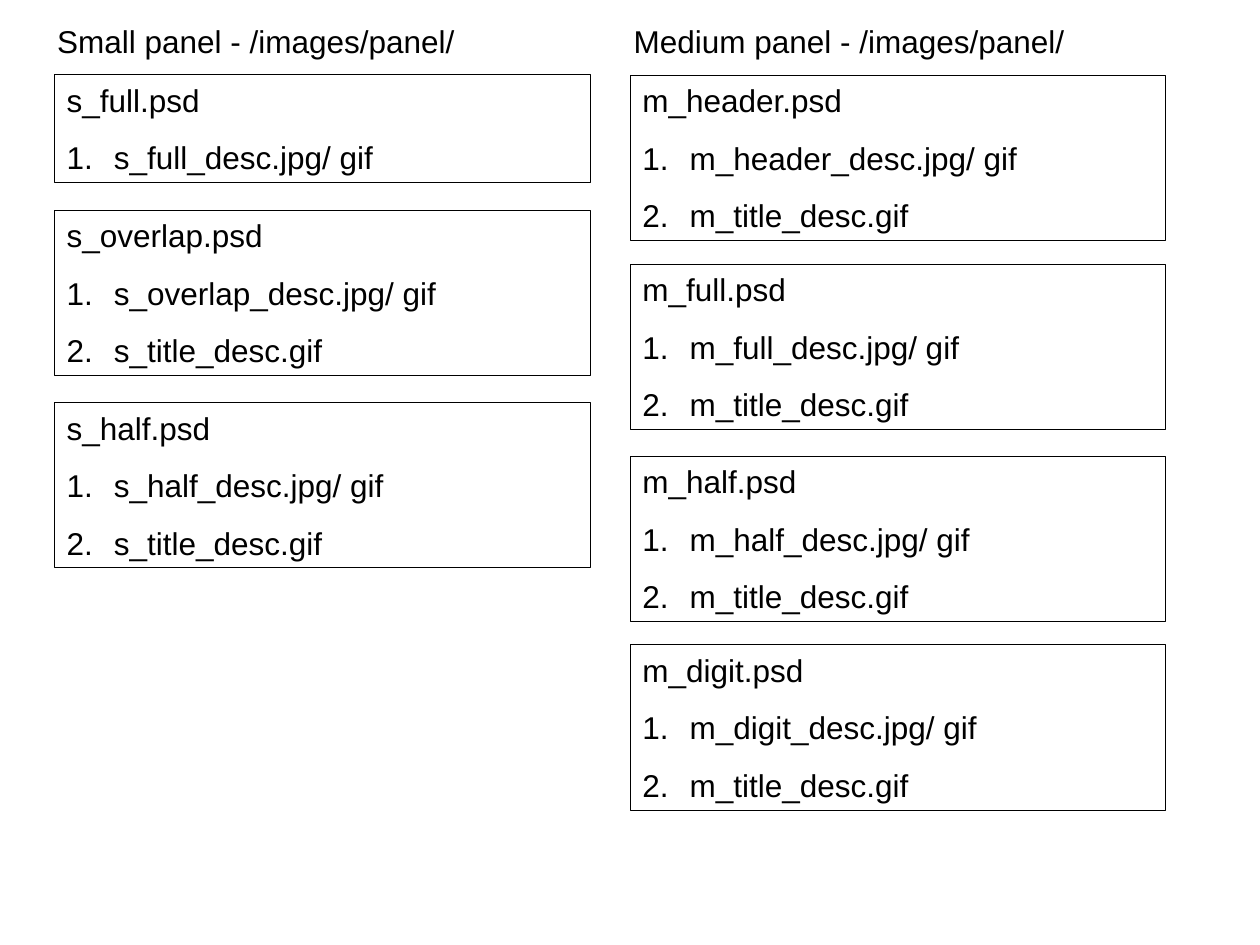
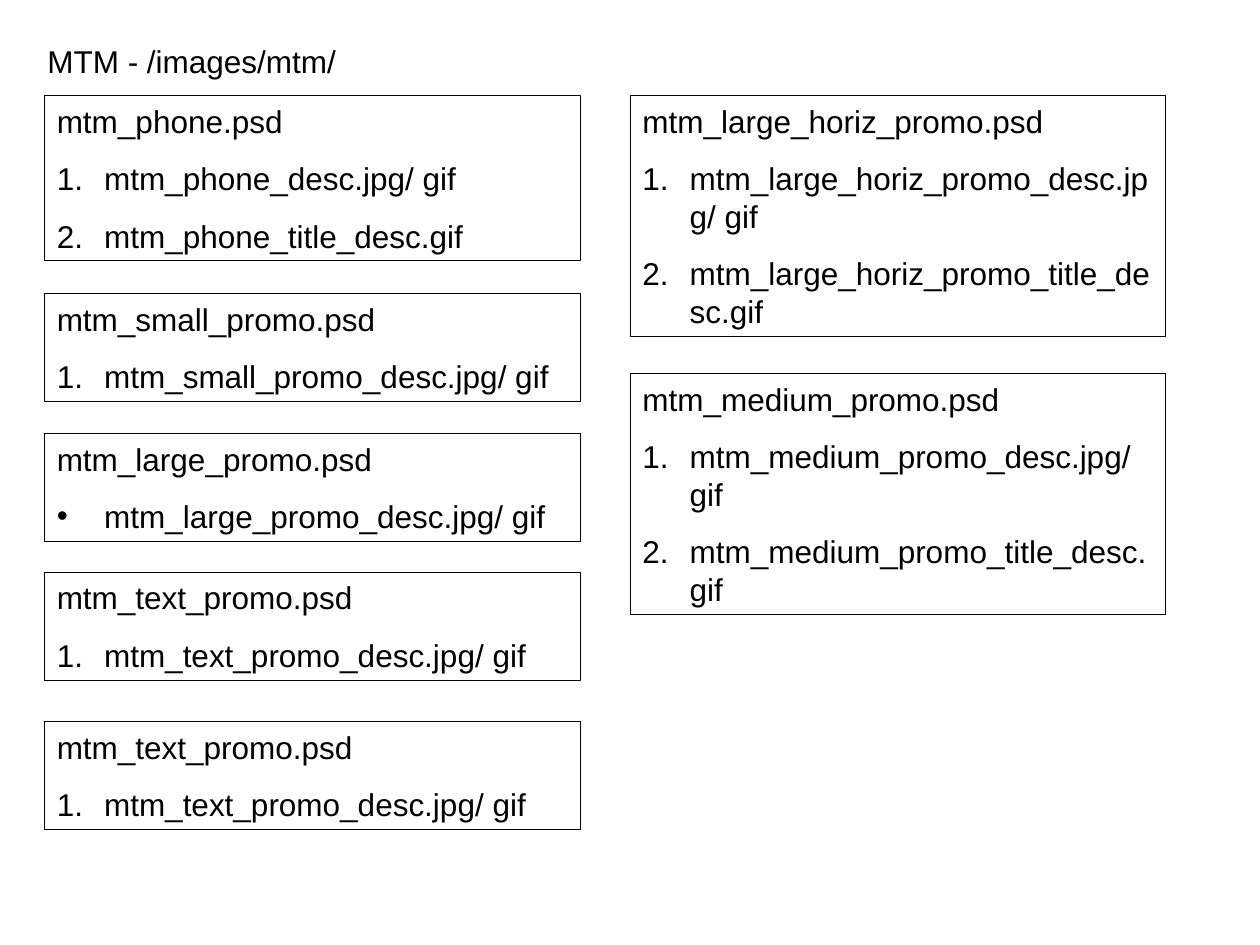
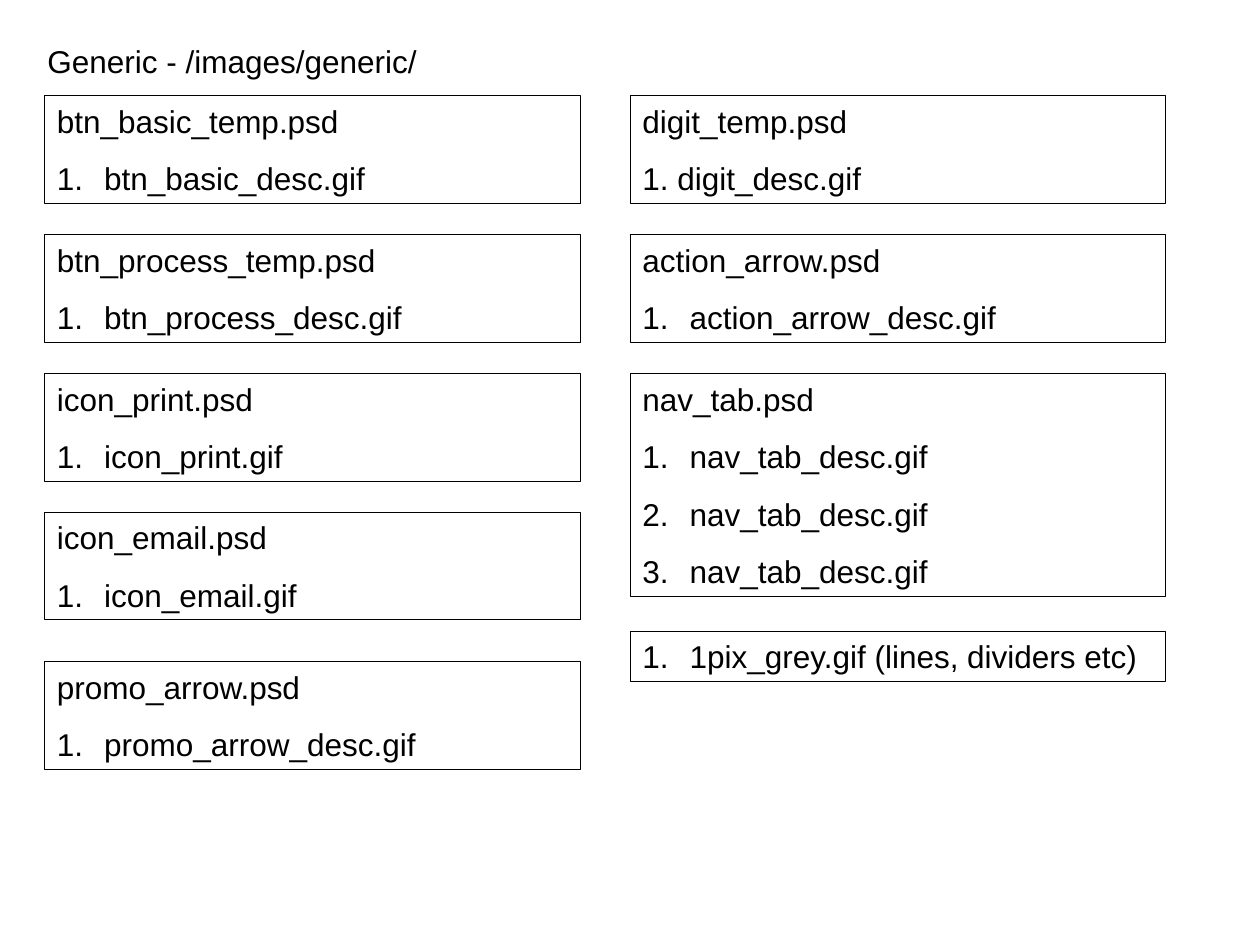
from lxml.etree import SubElement
from pptx import Presentation
from pptx.dml.color import RGBColor
from pptx.enum.shapes import MSO_SHAPE as Shape
from pptx.enum.text import MSO_ANCHOR as Anchor, MSO_AUTO_SIZE as AutoSize, PP_ALIGN as Align
from pptx.oxml.ns import qn
from pptx.util import Pt

# Marks in front of a file name
NUMBER, DOT, PLAIN = "number", "dot", "plain"

# Heading: text, left, top, width
# Panel: top, source file, its exported files, mark, extra wrapped lines
SLIDES = [
    {
        "headings": [
            ("Small panel - /images/panel/", 25.6, 9.2, 244),
            ("Medium panel - /images/panel/", 355, 9.2, 264),
        ],
        "columns": [
            (31, [
                (42.5, "s_full.psd", ["s_full_desc.jpg/ gif"], NUMBER, 0),
                (120.2, "s_overlap.psd", ["s_overlap_desc.jpg/ gif", "s_title_desc.gif"], NUMBER, 0),
                (230, "s_half.psd", ["s_half_desc.jpg/ gif", "s_title_desc.gif"], NUMBER, 0),
            ]),
            (360, [
                (43, "m_header.psd", ["m_header_desc.jpg/ gif", "m_title_desc.gif"], NUMBER, 0),
                (151, "m_full.psd", ["m_full_desc.jpg/ gif", "m_title_desc.gif"], NUMBER, 0),
                (260.6, "m_half.psd", ["m_half_desc.jpg/ gif", "m_title_desc.gif"], NUMBER, 0),
                (368.4, "m_digit.psd", ["m_digit_desc.jpg/ gif", "m_title_desc.gif"], NUMBER, 0),
            ]),
        ],
    },
    {
        "headings": [("MTM - /images/mtm/", 20, 20.4, 183)],
        "columns": [
            (25.4, [
                (54.6, "mtm_phone.psd", ["mtm_phone_desc.jpg/ gif", "mtm_phone_title_desc.gif"], NUMBER, 0),
                (167.6, "mtm_small_promo.psd", ["mtm_small_promo_desc.jpg/ gif"], NUMBER, 0),
                (247.6, "mtm_large_promo.psd", ["mtm_large_promo_desc.jpg/ gif"], DOT, 0),
                (327, "mtm_text_promo.psd", ["mtm_text_promo_desc.jpg/ gif"], NUMBER, 0),
                (412.4, "mtm_text_promo.psd", ["mtm_text_promo_desc.jpg/ gif"], NUMBER, 0),
            ]),
            (360, [
                (54.6, "mtm_large_horiz_promo.psd",
                 ["mtm_large_horiz_promo_desc.jpg/ gif", "mtm_large_horiz_promo_title_desc.gif"], NUMBER, 2),
                (213.4, "mtm_medium_promo.psd",
                 ["mtm_medium_promo_desc.jpg/ gif", "mtm_medium_promo_title_desc.gif"], NUMBER, 2),
            ]),
        ],
    },
    {
        "headings": [("Generic - /images/generic/", 20, 20.4, 229)],
        "columns": [
            (25.4, [
                (54.6, "btn_basic_temp.psd", ["btn_basic_desc.gif"], NUMBER, 0),
                (134, "btn_process_temp.psd", ["btn_process_desc.gif"], NUMBER, 0),
                (213.4, "icon_print.psd", ["icon_print.gif"], NUMBER, 0),
                (292.6, "icon_email.psd", ["icon_email.gif"], NUMBER, 0),
                (378, "promo_arrow.psd", ["promo_arrow_desc.gif"], NUMBER, 0),
            ]),
            (360, [
                (54.6, "digit_temp.psd", ["1. digit_desc.gif"], PLAIN, 0),
                (134, "action_arrow.psd", ["action_arrow_desc.gif"], NUMBER, 0),
                (213.4, "nav_tab.psd", ["nav_tab_desc.gif"] * 3, NUMBER, 0),
                (360.6, None, ["1pix_grey.gif (lines, dividers etc)"], NUMBER, 0),
            ]),
        ],
    },
]

# Shared style
INK = "000000"
FONT, FONT_SIZE = "Arial", 18
PANEL_WIDTH = 306.2
LINE_HEIGHT = 21.6
PARAGRAPH_GAP = 11.25
INSET_X, INSET_Y = 7.2, 3.6
HANGING = 27


def color(hex_code):
    return RGBColor.from_string(hex_code)


def text_height(lines, paragraphs=1):
    return 2 * INSET_Y + lines * LINE_HEIGHT + (paragraphs - 1) * PARAGRAPH_GAP


def prepare_frame(frame, wrap):
    frame.word_wrap = wrap
    frame.auto_size = AutoSize.SHAPE_TO_FIT_TEXT
    frame.vertical_anchor = Anchor.TOP
    frame.margin_left = frame.margin_right = Pt(INSET_X)
    frame.margin_top = frame.margin_bottom = Pt(INSET_Y)


def write(paragraph, text):
    paragraph.alignment = Align.LEFT
    run = paragraph.add_run()
    run.text = text
    run.font.name = FONT
    run.font.size = Pt(FONT_SIZE)
    run.font.color.rgb = color(INK)


def hang(paragraph, mark):
    properties = paragraph._p.get_or_add_pPr()
    properties.set("marL", str(Pt(HANGING)))
    properties.set("indent", str(-Pt(HANGING)))
    if mark == NUMBER:
        SubElement(properties, qn("a:buFont"), typeface=FONT)
        SubElement(properties, qn("a:buAutoNum"), type="arabicPeriod")
    elif mark == DOT:
        SubElement(properties, qn("a:buFont"), typeface=FONT)
        SubElement(properties, qn("a:buChar"), char="•")
    else:
        SubElement(properties, qn("a:buNone"))


def add_heading(slide, text, left, top, width):
    heading = slide.shapes.add_textbox(Pt(left), Pt(top), Pt(width), Pt(text_height(1)))
    prepare_frame(heading.text_frame, wrap=False)
    write(heading.text_frame.paragraphs[0], text)


def add_panel(slide, left, top, source, exports, mark, wrapped):
    entries = [(source, PLAIN)] if source else []
    entries += [(export, mark) for export in exports]
    height = text_height(len(entries) + wrapped, len(entries))
    panel = slide.shapes.add_shape(Shape.RECTANGLE, Pt(left), Pt(top), Pt(PANEL_WIDTH), Pt(height))
    panel.shadow.inherit = False
    panel.fill.background()
    panel.line.color.rgb = color(INK)
    panel.line.width = Pt(0.5)
    frame = panel.text_frame
    prepare_frame(frame, wrap=True)
    for index, (text, entry_mark) in enumerate(entries):
        paragraph = frame.add_paragraph() if index else frame.paragraphs[0]
        hang(paragraph, entry_mark)
        if index:
            paragraph.space_before = Pt(PARAGRAPH_GAP)
        write(paragraph, text)


def main():
    deck = Presentation()
    deck.slide_width, deck.slide_height = Pt(720), Pt(540)
    for content in SLIDES:
        slide = deck.slides.add_slide(deck.slide_layouts[6])
        for heading in content["headings"]:
            add_heading(slide, *heading)
        for left, panels in content["columns"]:
            for panel in panels:
                add_panel(slide, left, *panel)
    deck.save("out.pptx")


if __name__ == "__main__":
    main()
